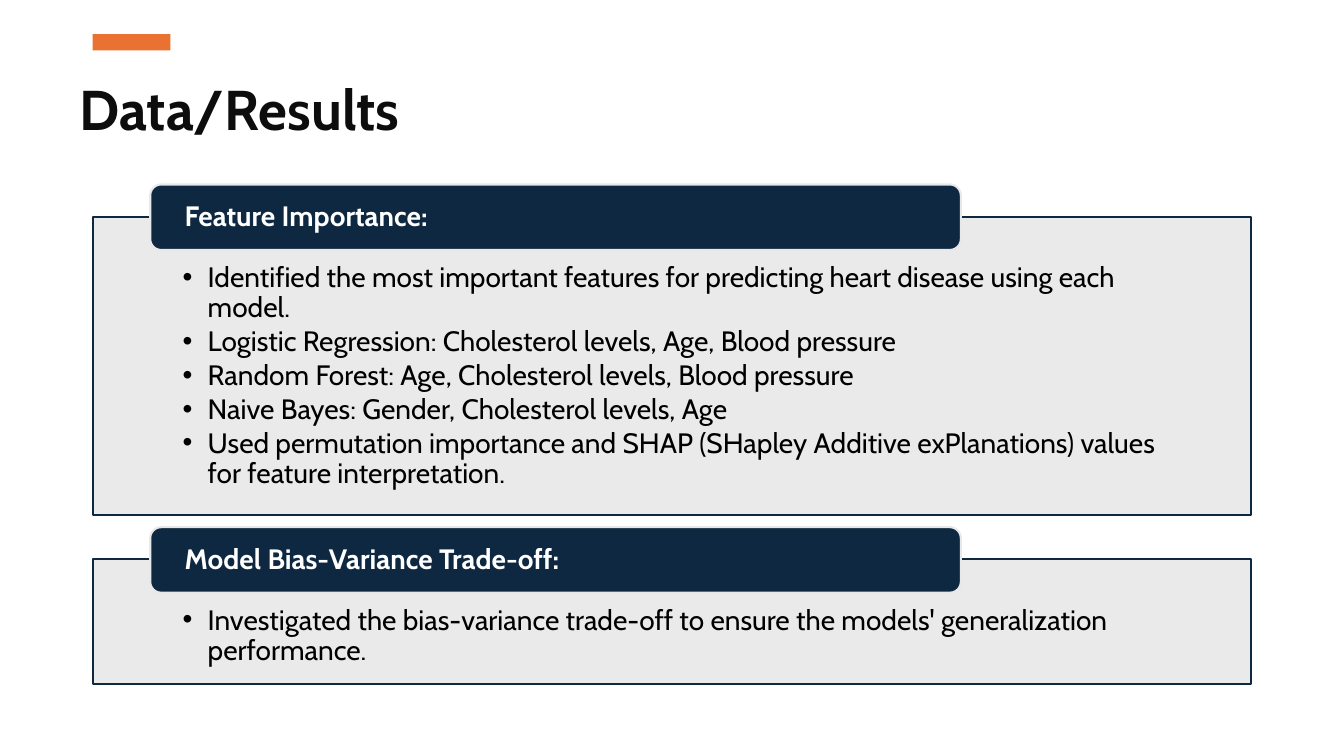
from lxml import etree
from pptx import Presentation
from pptx.dml.color import RGBColor
from pptx.enum.shapes import MSO_SHAPE
from pptx.enum.text import MSO_ANCHOR, MSO_AUTO_SIZE, PP_ALIGN
from pptx.oxml.ns import qn
from pptx.util import Pt

RECTANGLE = MSO_SHAPE.RECTANGLE
ROUNDED = MSO_SHAPE.ROUNDED_RECTANGLE
TOP, MIDDLE = MSO_ANCHOR.TOP, MSO_ANCHOR.MIDDLE
NO_AUTOFIT = MSO_AUTO_SIZE.NONE
LEFT = PP_ALIGN.LEFT

ORANGE = RGBColor(0xE9, 0x71, 0x32)
NAVY = RGBColor(0x0E, 0x28, 0x41)
PALE_GRAY = RGBColor(0xE8, 0xE8, 0xE8)
WHITE = RGBColor(0xFF, 0xFF, 0xFF)
BLACK = RGBColor(0x00, 0x00, 0x00)
NEAR_BLACK = RGBColor(0x0D, 0x0D, 0x0D)

FONT = "Cabin"
EMU_PER_PX = 9144
TWO_CONTENT_LAYOUT = 3
HEADING_HEIGHT = 65
HEADING_OVERLAP = 32

SECTIONS = [
    ("Feature Importance:", (92, 215, 1149, 296), [
        "Identified the most important features for predicting heart disease using each model.",
        "Logistic Regression: Cholesterol levels, Age, Blood pressure",
        "Random Forest: Age, Cholesterol levels, Blood pressure",
        "Naive Bayes: Gender, Cholesterol levels, Age",
        "Used permutation importance and SHAP (SHapley Additive exPlanations) values "
        "for feature interpretation.",
    ]),
    ("Model Bias-Variance Trade-off:", (92, 555, 1149, 124), [
        "Investigated the bias-variance trade-off to ensure the models' generalization performance.",
    ]),
]


def px(length):
    """Turn whole px into EMU."""
    return length * EMU_PER_PX


def place(shape, box):
    """Move a shape to a box given in px."""
    shape.left, shape.top, shape.width, shape.height = map(px, box)


def paint(shape, fill, line=None):
    """Set the fill and the outline of a shape."""
    shape.fill.solid()
    shape.fill.fore_color.rgb = fill
    if line is None:
        shape.line.fill.background()
    else:
        shape.line.color.rgb = line
        shape.line.width = Pt(1.5)


def add_box(slide, preset, box, fill, line=None):
    """Add a preset shape without a shadow."""
    shape = slide.shapes.add_shape(preset, *map(px, box))
    shape.shadow.inherit = False
    paint(shape, fill, line)
    return shape


def write(shape, lines, size=20, color=BLACK, bold=False, anchor=TOP,
          insets=(10, 5, 10, 5), line_spacing=0.9, space_after=0, bullet=False):
    """Fill a shape with formatted paragraphs."""
    frame = shape.text_frame
    frame.text = "\n".join(lines)
    frame.word_wrap = True
    frame.auto_size = NO_AUTOFIT
    frame.vertical_anchor = anchor
    (frame.margin_left, frame.margin_top,
     frame.margin_right, frame.margin_bottom) = map(px, insets)
    for paragraph in frame.paragraphs:
        paragraph.alignment = LEFT
        paragraph.line_spacing = line_spacing
        paragraph.space_before = Pt(0)
        paragraph.space_after = Pt(space_after)
        if bullet:
            properties = paragraph._p.get_or_add_pPr()
            properties.set("marL", str(px(25)))
            properties.set("indent", str(px(-25)))
            etree.SubElement(properties, qn("a:buChar"), char="•")
        for run in paragraph.runs:
            run.font.name = FONT
            run.font.size = Pt(size)
            run.font.bold = bold
            run.font.color.rgb = color


def make_translucent(shape, percent):
    """Set the opacity of a solid fill."""
    color = shape._element.spPr.find(qn("a:solidFill"))[0]
    etree.SubElement(color, qn("a:alpha"), val=str(percent * 1000))


def build_title(slide, box):
    """Place the slide title and the accent bar above it."""
    left, top, _, _ = box
    title = slide.shapes.title
    place(title, box)
    write(title, ["Data/Results"], size=40, color=NEAR_BLACK, bold=True, line_spacing=1.0)
    add_box(slide, RECTANGLE, (left + 23, top - 35, 77, 16), ORANGE)


def build_section(slide, body, heading, box, items):
    """Place a framed list with its heading tab across the top edge."""
    left, top, width, _ = box
    place(body, box)
    paint(body, PALE_GRAY, NAVY)
    make_translucent(body, 90)
    write(body, items, insets=(89, 46, 89, 16), space_after=2.6, bullet=True)
    tab_box = (left + 57, top - HEADING_OVERLAP, round(width * 0.7), HEADING_HEIGHT)
    tab = add_box(slide, ROUNDED, tab_box, NAVY, PALE_GRAY)
    write(tab, [heading], color=WHITE, bold=True, anchor=MIDDLE, insets=(31, 0, 31, 0))


def main():
    """Build and save the presentation."""
    presentation = Presentation()
    presentation.slide_width = px(1333)
    presentation.slide_height = px(750)
    slide = presentation.slides.add_slide(presentation.slide_layouts[TWO_CONTENT_LAYOUT])
    bodies = list(slide.placeholders)[1:]
    build_title(slide, (69, 69, 718, 77))
    for body, (heading, box, items) in zip(bodies, SECTIONS):
        build_section(slide, body, heading, box, items)
    presentation.save("out.pptx")


if __name__ == "__main__":
    main()
